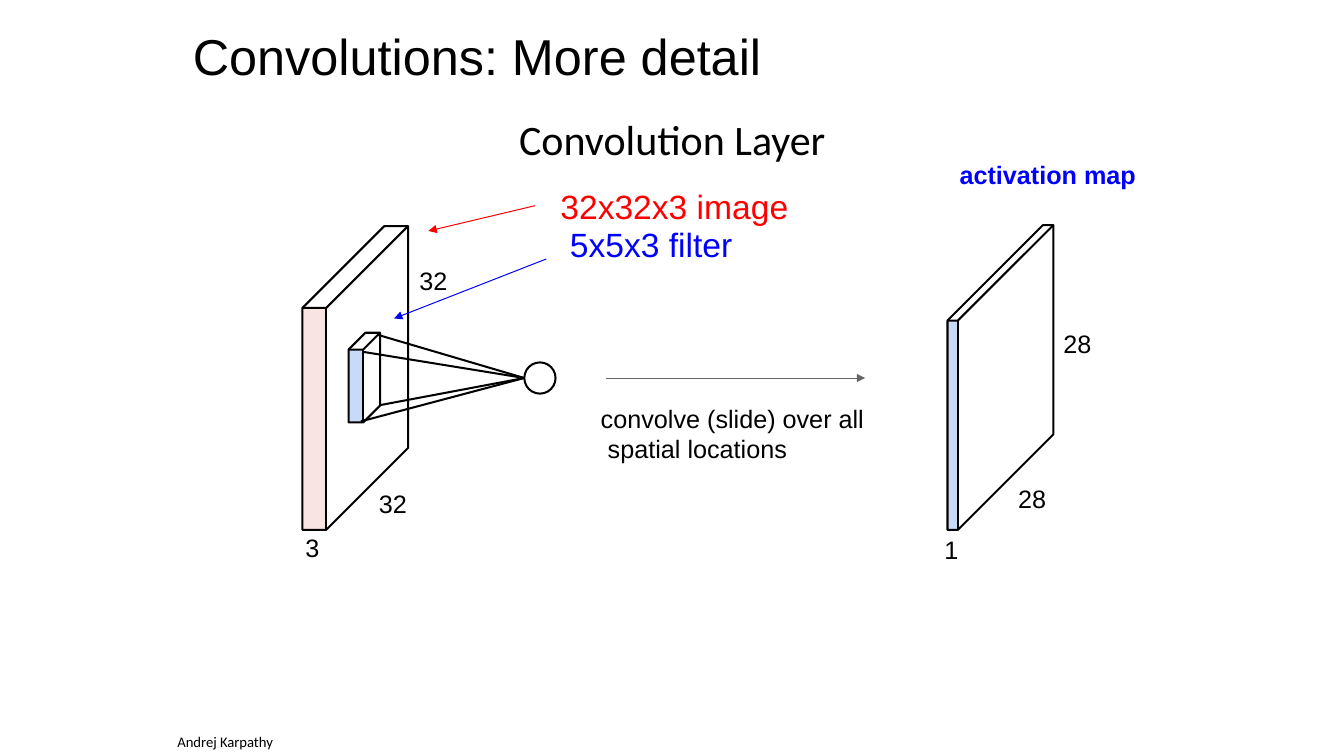
import pptx
import pptx.dml.color
import pptx.enum.shapes
import pptx.enum.text
import pptx.oxml
import pptx.util
import lxml.etree
from pptx.oxml.ns import qn

Pt = pptx.util.Pt


def colour(value):
    return pptx.dml.color.RGBColor.from_string(value)


class Sketch:
    black = "000000"
    red = "FF0000"
    blue = "0000FF"
    grey = "666666"
    pink = "F4CCCC"
    pale_blue = "C7DAF7"
    outline_width = 1.44
    arrow_width = 0.72

    def __init__(self, page):
        self.page = page

    def text(self, left, top, width, height, lines, inset=2):
        box = self.page.shapes.add_textbox(Pt(left), Pt(top), Pt(width), Pt(height))
        frame = box.text_frame
        frame.word_wrap = True
        frame.vertical_anchor = pptx.enum.text.MSO_ANCHOR.TOP
        frame.margin_left = frame.margin_right = frame.margin_bottom = 0
        frame.margin_top = Pt(inset)
        for index, line in enumerate(lines):
            para = frame.paragraphs[0] if index == 0 else frame.add_paragraph()
            self.fill_paragraph(para, **line)

    def fill_paragraph(self, para, words, size=18, font="Arial", color=black,
                       bold=False, indent=0.7, before=0, spacing=None):
        para.text = words
        para._p.get_or_add_pPr().set("marL", str(Pt(indent)))
        para.space_before = Pt(before)
        if spacing:
            para.line_spacing = spacing
        para.font.size = Pt(size)
        para.font.name = font
        para.font.bold = bold
        para.font.color.rgb = colour(color)

    def label(self, left, top, words, width=24, **style):
        self.text(left, top, width, 24, [dict(words=words, **style)])

    def finish(self, shape, fill=None, opacity=None, line=None):
        shape.shadow.inherit = False
        if fill:
            shape.fill.solid()
            shape.fill.fore_color.rgb = colour(fill)
            if opacity:
                tint = shape.fill._xPr.find(qn("a:solidFill"))[0]
                lxml.etree.SubElement(tint, qn("a:alpha"), val=str(opacity * 1000))
        else:
            shape.fill.background()
        if line:
            shape.line.color.rgb = colour(line)
            shape.line.width = Pt(self.outline_width)
        else:
            shape.line.fill.background()

    def outline(self, *strokes, **style):
        builder = None
        for points, closed in strokes:
            (x, y), *rest = [(Pt(x), Pt(y)) for x, y in points]
            if builder is None:
                builder = self.page.shapes.build_freeform(x, y)
            else:
                builder.move_to(x, y)
            builder.add_line_segments(rest, close=closed)
        self.finish(builder.convert_to_shape(), **style)

    def slab(self, left, bottom, thickness, height, depth, fill, opacity=None):
        right, top = left + thickness, bottom - height
        front = [(left, top), (right, top), (right, bottom), (left, bottom)]
        far_left, far_top, far_bottom = [
            (x + depth, y - depth)
            for x, y in [(left, top), (right, top), (right, bottom)]
        ]
        silhouette = [(left, top), far_left, far_top, far_bottom,
                      (right, bottom), (left, bottom)]
        top_edge = [(left, top), (right, top), far_top]
        front_edge = [(right, top), (right, bottom)]
        self.outline((front, True), fill=fill, opacity=opacity)
        self.outline((silhouette, True), (top_edge, False), (front_edge, False),
                     line=self.black)

    def circle(self, left, middle, diameter):
        oval = self.page.shapes.add_shape(
            pptx.enum.shapes.MSO_SHAPE.OVAL, Pt(left), Pt(middle - diameter / 2),
            Pt(diameter), Pt(diameter))
        self.finish(oval, line=self.black)

    def line(self, start, end, color=black, width=outline_width, arrow=False):
        connector = self.page.shapes.add_connector(
            pptx.enum.shapes.MSO_CONNECTOR.STRAIGHT,
            *[Pt(value) for value in (*start, *end)])
        connector.line.color.rgb = colour(color)
        connector.line.width = Pt(width)
        if arrow:
            lxml.etree.SubElement(connector.line._get_or_add_ln(), qn("a:tailEnd"),
                                  type="triangle", w="med", len="med")
        lxml.etree.SubElement(connector._element.spPr, qn("a:effectLst"))

    def arrow(self, start, end, color):
        self.line(start, end, color, self.arrow_width, arrow=True)


def main():
    deck = pptx.Presentation()
    deck.slide_width, deck.slide_height = Pt(960), Pt(540)
    sketch = Sketch(deck.slides.add_slide(deck.slide_layouts[6]))

    sketch.text(137, 14, 408, 45, [dict(words="Convolutions: More detail", size=36)], inset=4)

    sketch.slab(249, 301.7, 10.5, 52, 12, sketch.pale_blue)
    neuron = (374.5, 270)
    sketch.circle(*neuron, 22.3)
    for corner in [(257.8, 301), (259.2, 251.3), (269.3, 239), (271.4, 289.4)]:
        sketch.line(corner, neuron)

    sketch.slab(216, 378.5, 17, 158.5, 58.5, sketch.pink, 52)
    sketch.arrow((382.3, 146.9), (306, 165), sketch.red)
    sketch.arrow((390.2, 185), (281.5, 227.5), sketch.blue)
    sketch.text(298.8, 81.4, 291.6, 126, [
        dict(words="Convolution Layer", size=30, font="Calibri", indent=72),
        dict(words="32x32x3 image", size=24, color=sketch.red, indent=101.5,
             before=17.1, spacing=Pt(27.2)),
        dict(words="5x5x3 filter", size=24, color=sketch.blue, indent=108.3,
             spacing=Pt(27.2)),
        dict(words="32", before=5, spacing=Pt(17.4)),
    ], inset=0)
    sketch.label(270, 347, "32")
    sketch.label(217.4, 378, "3")

    sketch.arrow((432.7, 270), (618, 270), sketch.grey)
    sketch.text(428.4, 285.8, 195, 44, [
        dict(words="convolve (slide) over all", spacing=1.01),
        dict(words="spatial locations", indent=5.7, spacing=1.01),
    ])

    sketch.slab(676.8, 378.5, 7.4, 149.5, 68.2, sketch.pale_blue)
    sketch.label(684.7, 111.6, "activation map", 130, color=sketch.blue, bold=True)
    sketch.label(673.9, 379.4, "1")
    sketch.label(726.5, 343.4, "28")
    sketch.label(758.9, 232.6, "28")

    sketch.text(126, 524.9, 75, 11, [
        dict(words="Andrej Karpathy", size=10.5, font="Calibri", spacing=Pt(11)),
    ], inset=0)

    deck.save("out.pptx")


if __name__ == "__main__":
    main()
